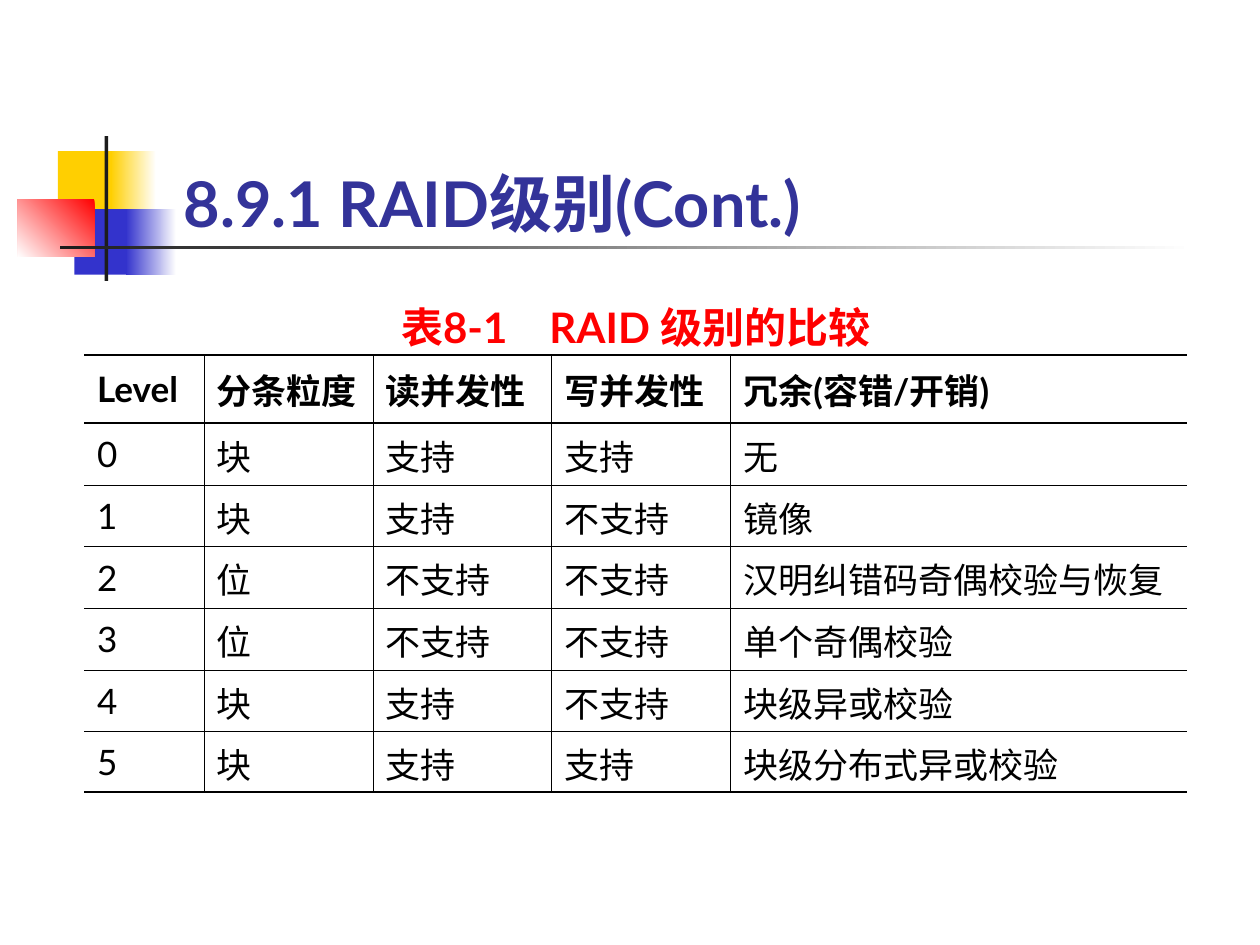
import pptx
import pptx.dml.color
import pptx.enum.shapes
import pptx.enum.text
import pptx.oxml
import pptx.util
from pptx.oxml.ns import nsdecls

WIDTH, HEIGHT = 10, 7.5
FONT = "Lato"
THIN, THICK = 0.45, 1.08
NO_STYLE = "{2D5ABB26-0587-4C30-8999-92F81FD0307C}"

TITLE = "8.9.1 RAID级别(Cont.)"
CAPTION = "表8-1　RAID 级别的比较"
LEVELS = [
    ("Level", "分条粒度", "读并发性", "写并发性", "冗余(容错/开销)"),
    ("0", "块", "支持", "支持", "无"),
    ("1", "块", "支持", "不支持", "镜像"),
    ("2", "位", "不支持", "不支持", "汉明纠错码奇偶校验与恢复"),
    ("3", "位", "不支持", "不支持", "单个奇偶校验"),
    ("4", "块", "支持", "不支持", "块级异或校验"),
    ("5", "块", "支持", "支持", "块级分布式异或校验"),
]
COLUMN_WIDTHS = [0.95, 1.34, 1.42, 1.42, 3.62]
ROW_HEIGHTS = [0.49, 0.54] + [0.49] * 5 + [0.48]


def rgb(hex_color):
    return pptx.dml.color.RGBColor.from_string(hex_color)


def inches(*lengths):
    return [pptx.util.Inches(length) for length in lengths]


def write(frame, text, size, color, bold, align=pptx.enum.text.PP_ALIGN.LEFT):
    paragraph = frame.paragraphs[0]
    paragraph.alignment = align
    run = paragraph.add_run()
    run.text = text
    run.font.color.rgb = rgb(color)
    for attribute, value in {"name": FONT, "size": pptx.util.Pt(size), "bold": bold}.items():
        setattr(run.font, attribute, value)


def add_block(slide, box, colors, angle=180):
    """Borderless rectangle: one colour is solid, two make a gradient."""
    block = slide.shapes.add_shape(pptx.enum.shapes.MSO_SHAPE.RECTANGLE, *inches(*box))
    block.shadow.inherit = False
    block.line.fill.background()
    if len(colors) == 1:
        block.fill.solid()
        block.fill.fore_color.rgb = rgb(colors[0])
        return
    block.fill.gradient()
    block.fill.gradient_angle = angle
    for stop, color, position in zip(block.fill.gradient_stops, colors, (0, 1)):
        stop.color.rgb = rgb(color)
        stop.position = position


def add_ornament(slide, box):
    """Coloured squares and crossing bars; the rule runs the full box width."""
    left, top, width, height = box
    blocks = [
        (0.32, 0.12, 0.48, 0.52, ["FFCF01"], 180),
        (0.74, 0.12, 0.36, 0.52, ["FFFFFF", "FFCF01"], 180),
        (0.45, 0.58, 0.46, 0.52, ["3333CC"], 180),
        (0.86, 0.58, 0.4, 0.52, ["FFFFFF", "3333CC"], 180),
        (0, 0.5, 0.61, 0.46, ["FF0000", "FFFFFF"], 225),
        (0.69, 0, 0.03, height, ["1C1C1C"], 180),
        (0.34, 0.87, width - 0.34, 0.03, ["FFFFFF", "1C1C1C"], 180),
    ]
    for x, y, block_width, block_height, colors, angle in blocks:
        add_block(slide, (left + x, top + y, block_width, block_height), colors, angle)


def add_title(slide, box):
    frame = slide.shapes.add_textbox(*inches(*box)).text_frame
    frame.word_wrap = True
    frame.vertical_anchor = pptx.enum.text.MSO_ANCHOR.BOTTOM
    for side in ("left", "top", "right", "bottom"):
        setattr(frame, f"margin_{side}", 0)
    write(frame, TITLE, 36, "333399", True)


def set_borders(cell, weights):
    """weights maps L, R, T, B to points; 0 hides that edge."""
    properties = cell._tc.get_or_add_tcPr()
    for side in "LRTB":
        weight = weights[side]
        paint = '<a:solidFill><a:srgbClr val="000000"/></a:solidFill>' if weight else "<a:noFill/>"
        properties.append(pptx.oxml.parse_xml(
            f'<a:ln{side} {nsdecls("a")} w="{pptx.util.Pt(weight)}">{paint}</a:ln{side}>'))


def add_levels_table(slide, box):
    row_count, column_count = len(ROW_HEIGHTS), len(COLUMN_WIDTHS)
    graphic = slide.shapes.add_table(row_count, column_count, *inches(*box))
    table = graphic.table
    table._tbl.tblPr.find(pptx.oxml.ns.qn("a:tableStyleId")).text = NO_STYLE
    table.first_row = table.horz_banding = False
    for column, width in zip(table.columns, COLUMN_WIDTHS):
        column.width = pptx.util.Inches(width)
    for row, height in zip(table.rows, ROW_HEIGHTS):
        row.height = pptx.util.Inches(height)

    edges = [0, THICK, THICK] + [THIN] * (row_count - 3) + [THICK]
    for r in range(row_count):
        for c in range(column_count):
            cell = table.cell(r, c)
            set_borders(cell, {
                "L": THIN if r and c else 0,
                "R": THIN if r and c < column_count - 1 else 0,
                "T": edges[r],
                "B": edges[r + 1],
            })
            cell.fill.background()
            if r:
                cell.vertical_anchor = pptx.enum.text.MSO_ANCHOR.MIDDLE
                write(cell.text_frame, LEVELS[r - 1][c], 20, "000000", r == 1)

    caption = table.cell(0, 0)
    caption.merge(table.cell(0, column_count - 1))
    caption.vertical_anchor = pptx.enum.text.MSO_ANCHOR.BOTTOM
    for side in ("left", "top", "right", "bottom"):
        setattr(caption, f"margin_{side}", 0)
    write(caption.text_frame, CAPTION, 24, "FF0000", True, pptx.enum.text.PP_ALIGN.CENTER)


def main():
    deck = pptx.Presentation()
    deck.slide_width, deck.slide_height = inches(WIDTH, HEIGHT)
    slide = deck.slides.add_slide(deck.slide_layouts[6])
    add_ornament(slide, (0.14, 1.08, 9.34, 1.15))
    add_title(slide, (1.46, 1.31, 6.1, 0.6))
    add_levels_table(slide, (0.67, 2.33, sum(COLUMN_WIDTHS), sum(ROW_HEIGHTS)))
    deck.save("out.pptx")


if __name__ == "__main__":
    main()
